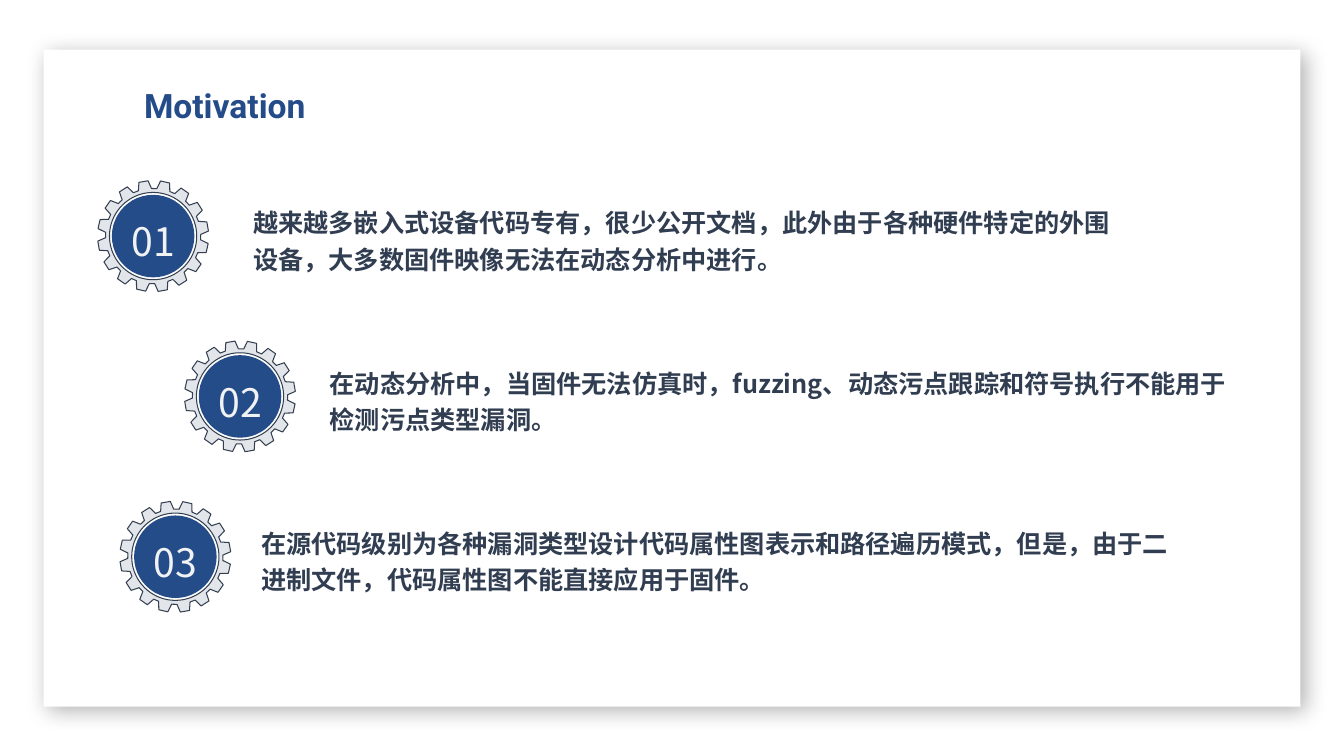
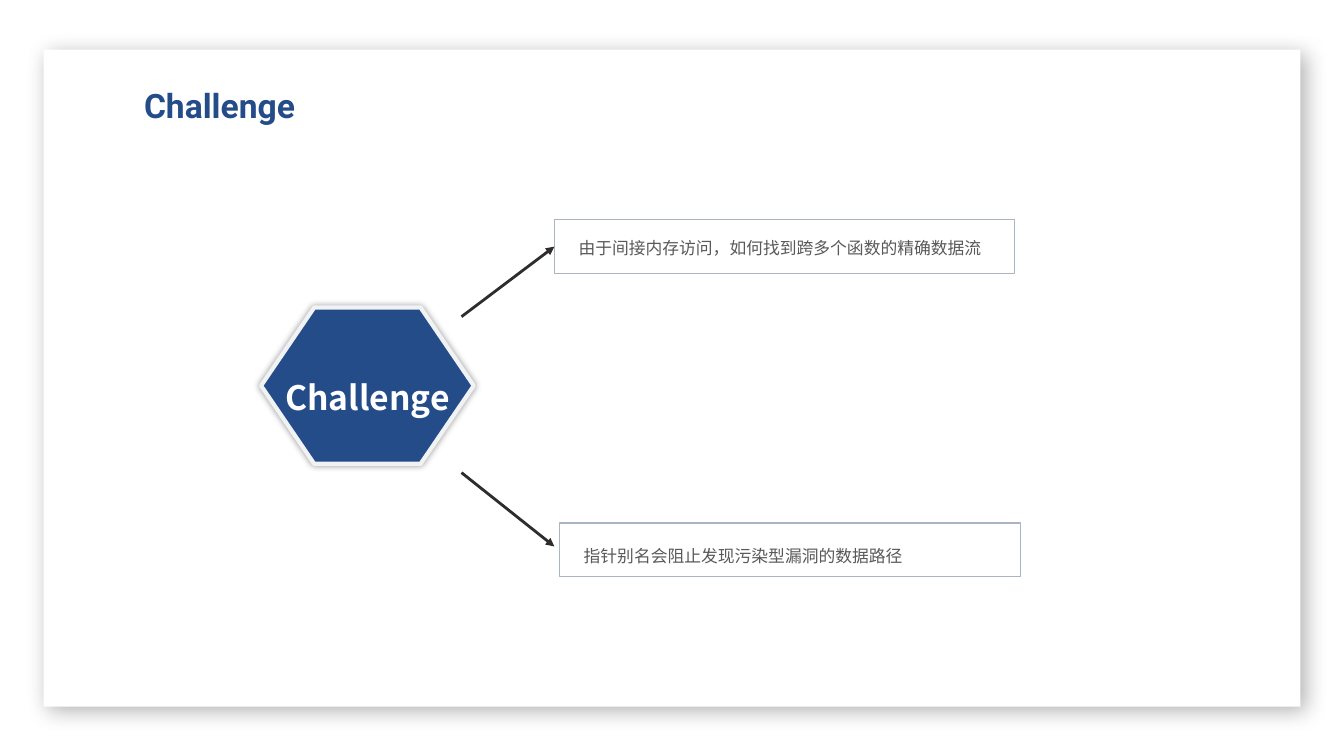
from math import cos, radians, sin

from lxml import etree
from pptx import Presentation
from pptx.dml.color import RGBColor
from pptx.enum.shapes import MSO_CONNECTOR, MSO_SHAPE
from pptx.enum.text import MSO_ANCHOR, PP_ALIGN
from pptx.oxml.ns import qn
from pptx.util import Cm, Pt

RECTANGLE, OVAL, HEXAGON = MSO_SHAPE.RECTANGLE, MSO_SHAPE.OVAL, MSO_SHAPE.HEXAGON
STRAIGHT = MSO_CONNECTOR.STRAIGHT
LEFT, CENTER, JUSTIFY = PP_ALIGN.LEFT, PP_ALIGN.CENTER, PP_ALIGN.JUSTIFY
TOP, MIDDLE = MSO_ANCHOR.TOP, MSO_ANCHOR.MIDDLE
LEFT_SIDE = 1

NAVY, WHITE, PALE = "244C89", "FFFFFF", "F0F2F4"
SLATE, GRAY, INK = "313D51", "595959", "2E2C2C"
GEAR_FILL, GEAR_LINE, BOX_LINE = "E2E6EA", "333F50", "AAB5C1"
TITLE_FONT, BODY_FONT = "Roboto", "Noto Sans CJK SC"
INSETS = (0.25, 0.13, 0.25, 0.13)
NO_INSETS = (0, 0, 0, 0)

TEETH = 16
TIP_RADIUS, ROOT_RADIUS, HOLE_RADIUS, DISC_RADIUS = 1.4, 1.2, 1.1, 1.04

MOTIVATIONS = [
    (3.86, 6.38, 22.17, "越来越多嵌入式设备代码专有，很少公开文档，此外由于各种硬件特定的外围设备，"
                        "大多数固件映像无法在动态分析中进行。"),
    (6.05, 8.31, 23.22, "在动态分析中，当固件无法仿真时，fuzzing、动态污点跟踪和符号执行不能用于"
                        "检测污点类型漏洞。"),
    (4.42, 6.58, 23.22, "在源代码级别为各种漏洞类型设计代码属性图表示和路径遍历模式，但是，"
                        "由于二进制文件，代码属性图不能直接应用于固件。"),
]
ROW_TOP, ROW_PITCH = 5.08, 4.04


def color(hex_text):
    return RGBColor.from_string(hex_text)


def paint(shape, fill, line=None, width=0):
    shape.shadow.inherit = False
    shape.fill.solid()
    shape.fill.fore_color.rgb = color(fill)
    if line:
        shape.line.color.rgb = color(line)
        shape.line.width = Pt(width)
    else:
        shape.line.fill.background()


def add_shadow(shape, opacity, blur, distance=0, angle=0):
    """Fill the shape's empty effect list with a black outer shadow."""
    effects = shape.element.spPr.find(qn("a:effectLst"))
    shadow = etree.SubElement(
        effects, qn("a:outerShdw"), blurRad=str(Pt(blur)), dist=str(Pt(distance)),
        dir=str(angle * 60000), algn="ctr", rotWithShape="0")
    black = etree.SubElement(shadow, qn("a:srgbClr"), val="000000")
    etree.SubElement(black, qn("a:alpha"), val=str(opacity * 1000))


def write(shape, text, size, hex_text, font=BODY_FONT, bold=False, align=LEFT,
          anchor=TOP, insets=INSETS, wrap=True):
    frame = shape.text_frame
    frame.text = text
    frame.word_wrap = wrap
    frame.vertical_anchor = anchor
    (frame.margin_left, frame.margin_top,
     frame.margin_right, frame.margin_bottom) = [Cm(inset) for inset in insets]
    para = frame.paragraphs[0]
    para.alignment = align
    para.line_spacing = 1.2
    span = para.runs[0]
    span.font.size = Pt(size)
    span.font.bold = bold
    span.font.color.rgb = color(hex_text)
    span.font.name = font
    east_asian = etree.Element(qn("a:ea"), typeface=font)
    span.font._element.find(qn("a:latin")).addnext(east_asian)


def add_box(page, kind, left, top, width, height):
    return page.shapes.add_shape(kind, Cm(left), Cm(top), Cm(width), Cm(height))


def add_text(page, left, top, width, height, text, size, hex_text, **style):
    box = page.shapes.add_textbox(Cm(left), Cm(top), Cm(width), Cm(height))
    write(box, text, size, hex_text, **style)


def add_page(deck, title):
    """Add a blank page with the shadowed panel and the title."""
    page = deck.slides.add_slide(deck.slide_layouts[6])
    panel = add_box(page, RECTANGLE, 1.1, 1.25, 31.67, 16.56)
    paint(panel, WHITE)
    add_shadow(panel, 30, 15, 5, 45)
    add_text(page, 3.38, 1.8, 6.96, 1.37, title, 24, NAVY,
             font=TITLE_FONT, bold=True)
    return page


def add_gear(page, center_x, center_y):
    """Draw a toothed ring around a solid disc."""
    def point(radius, angle):
        return (Cm(center_x + radius * cos(radians(angle))),
                Cm(center_y + radius * sin(radians(angle))))

    step = 360 / TEETH
    profile = [(ROOT_RADIUS, -8), (TIP_RADIUS, -4.8), (TIP_RADIUS, 4.8), (ROOT_RADIUS, 8)]
    outline = [point(radius, 80 + step * tooth + offset)
               for tooth in range(TEETH) for radius, offset in profile]
    hole = [point(HOLE_RADIUS, -angle) for angle in range(0, 360, 5)]
    builder = page.shapes.build_freeform(*outline[0])
    builder.add_line_segments(outline[1:], close=True)
    builder.move_to(*hole[0])
    builder.add_line_segments(hole[1:], close=True)
    paint(builder.convert_to_shape(), GEAR_FILL, GEAR_LINE, 0.75)

    disc = add_box(page, OVAL, center_x - DISC_RADIUS, center_y - DISC_RADIUS,
                   2 * DISC_RADIUS, 2 * DISC_RADIUS)
    paint(disc, NAVY)


def add_motivation(page, number, top, gear_x, left, width, text):
    add_gear(page, gear_x, top + 0.87)
    add_text(page, gear_x - 0.84, top + 0.04, 1.68, 1.57, f"{number:02}", 28, PALE,
             align=CENTER, wrap=False)
    add_text(page, left, top, width, 1.78, text, 18, SLATE,
             bold=True, insets=NO_INSETS)


def add_hexagon(page, left, top, width, height, text):
    hexagon = add_box(page, HEXAGON, left, top, width, height)
    hexagon.adjustments[0] = 0.34
    paint(hexagon, NAVY, PALE, 3)
    add_shadow(hexagon, 40, 5)
    write(hexagon, text, 24, WHITE, bold=True, align=CENTER, anchor=MIDDLE,
          insets=(0, 0.36, 0, 0), wrap=False)


def add_callout(page, left, top, text, text_top):
    box = add_box(page, RECTANGLE, left, top, 11.61, 1.35)
    paint(box, WHITE, BOX_LINE)
    write(box, text, 12, GRAY, align=JUSTIFY, insets=(0.61, text_top, 0.25, 0))
    return box


def add_arrow(page, start_x, start_y, end_x, end_y):
    arrow = page.shapes.add_connector(
        STRAIGHT, Cm(start_x), Cm(start_y), Cm(end_x), Cm(end_y))
    arrow.line.color.rgb = color(INK)
    arrow.line.width = Pt(0)
    etree.SubElement(arrow.line._get_or_add_ln(), qn("a:tailEnd"), type="triangle")
    etree.SubElement(arrow.element.spPr, qn("a:effectLst"))
    return arrow


def build_motivation(deck):
    page = add_page(deck, "Motivation")
    for index, row in enumerate(MOTIVATIONS):
        add_motivation(page, index + 1, ROW_TOP + index * ROW_PITCH, *row)


def build_challenge(deck):
    page = add_page(deck, "Challenge")
    add_hexagon(page, 6.58, 7.75, 5.36, 3.94, "Challenge")
    memory_box = add_callout(
        page, 13.97, 5.54, "由于间接内存访问，如何找到跨多个函数的精确数据流", 0.36)
    add_callout(page, 14.1, 13.18, "指针别名会阻止发现污染型漏洞的数据路径", 0.46)
    memory_arrow = add_arrow(page, 11.63, 7.98, 13.97, 6.21)
    memory_arrow.end_connect(memory_box, LEFT_SIDE)
    add_arrow(page, 11.63, 11.91, 13.97, 13.77)


def main():
    deck = Presentation()
    deck.slide_width, deck.slide_height = Cm(33.87), Cm(19.05)
    build_motivation(deck)
    build_challenge(deck)
    deck.save("out.pptx")


if __name__ == "__main__":
    main()
